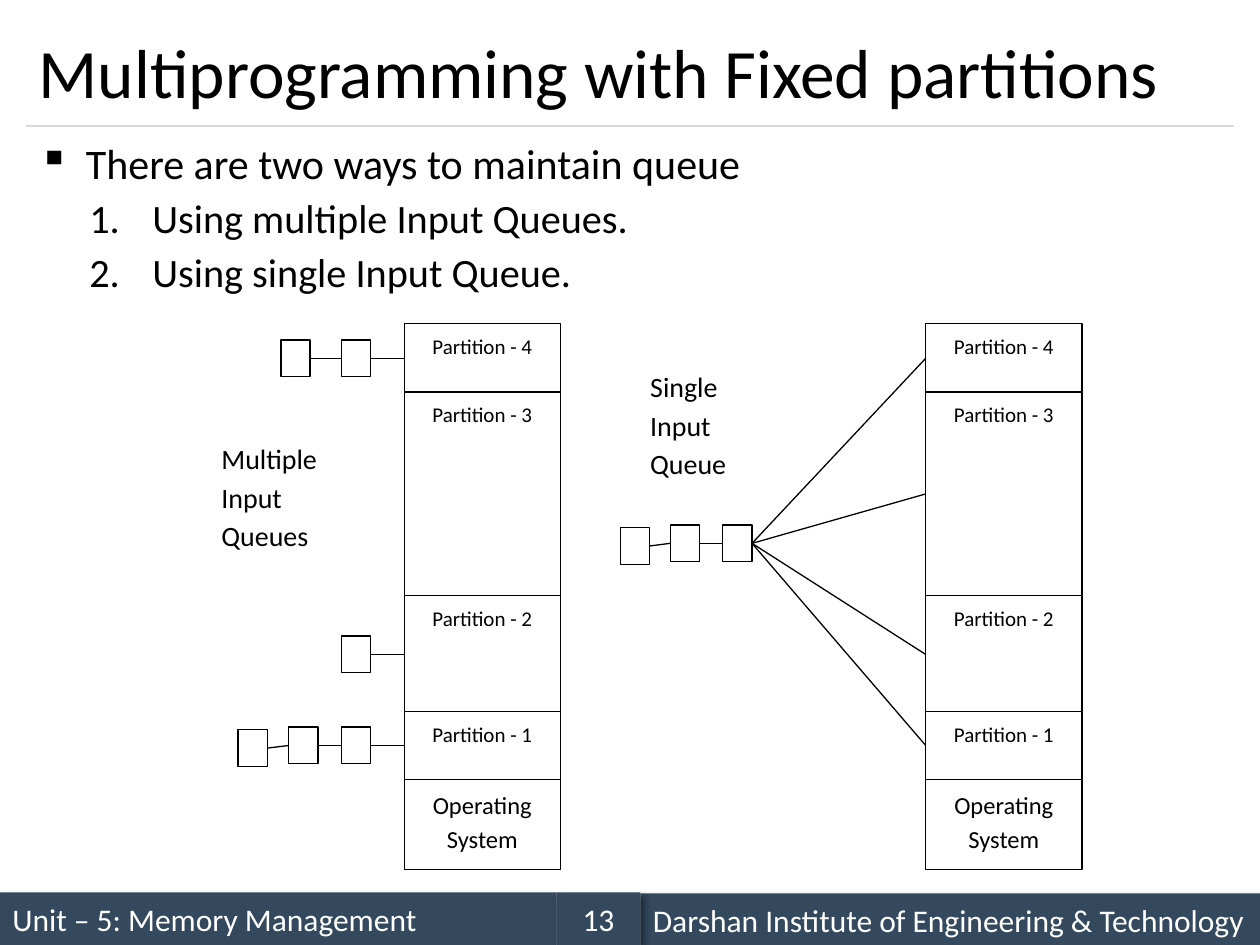
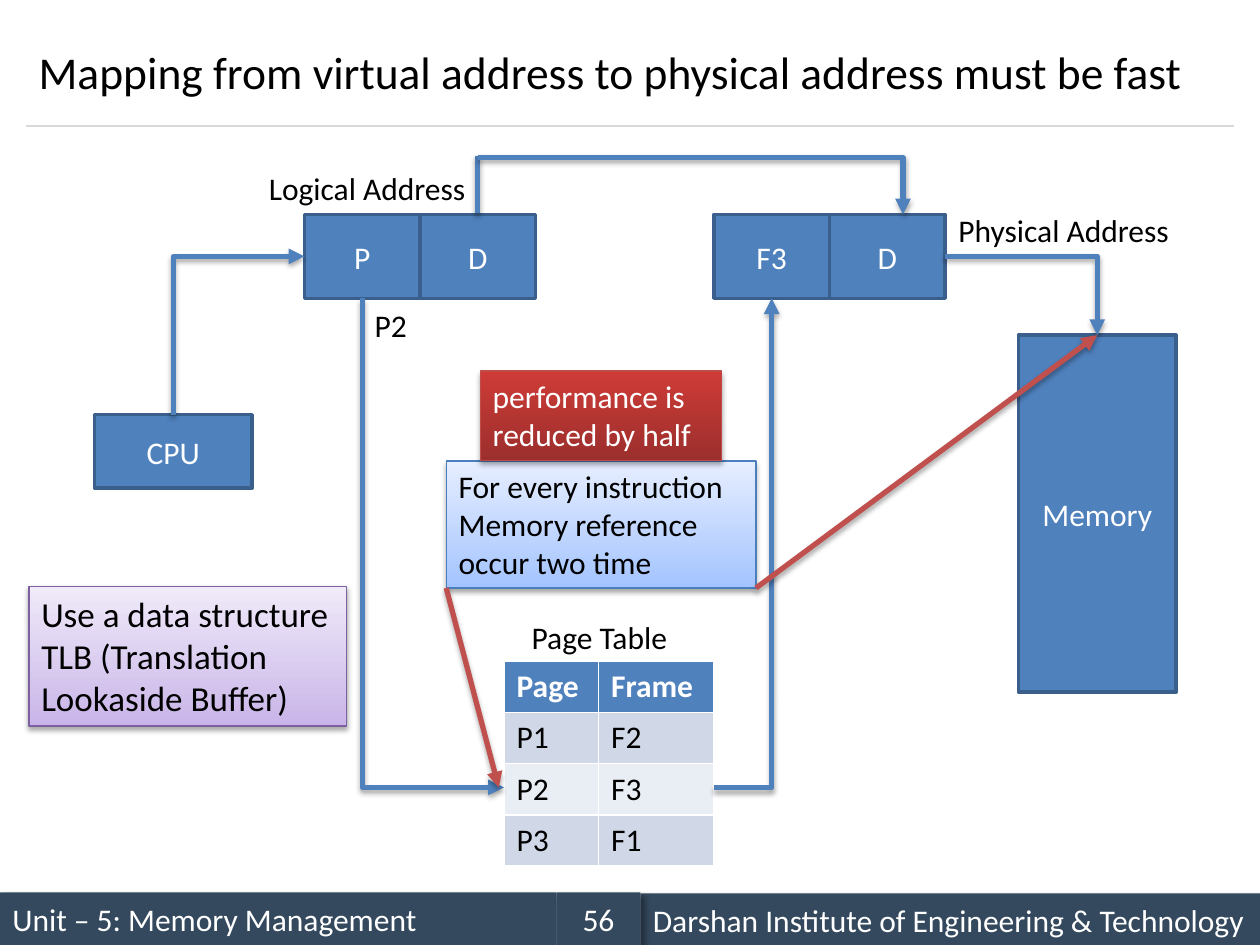
from lxml import etree
from pptx import Presentation
from pptx.dml.color import RGBColor
from pptx.enum.shapes import MSO_CONNECTOR, MSO_SHAPE
from pptx.enum.text import MSO_ANCHOR, PP_ALIGN
from pptx.oxml.ns import qn
from pptx.util import Pt

RECT = MSO_SHAPE.RECTANGLE
STRAIGHT, ELBOW = MSO_CONNECTOR.STRAIGHT, MSO_CONNECTOR.ELBOW
TOP, MIDDLE = MSO_ANCHOR.TOP, MSO_ANCHOR.MIDDLE
LEFT, CENTER, RIGHT, JUSTIFY = (
    PP_ALIGN.LEFT, PP_ALIGN.CENTER, PP_ALIGN.RIGHT, PP_ALIGN.JUSTIFY)

FONT = "Calibri"
BLACK = RGBColor(0x00, 0x00, 0x00)
WHITE = RGBColor(0xFF, 0xFF, 0xFF)
NAVY = RGBColor(0x34, 0x49, 0x5E)
GREY = RGBColor(0xD9, 0xD9, 0xD9)
BLUE = RGBColor(0x4F, 0x81, 0xBD)
EDGE = RGBColor(0x3A, 0x5F, 0x8C)
RED = RGBColor(0xC0, 0x50, 0x4D)
BAND = RGBColor(0xD0, 0xD8, 0xE8)
PALE = RGBColor(0xE9, 0xED, 0xF4)
SKY = [RGBColor(0xA4, 0xC4, 0xFF), RGBColor(0xE6, 0xEE, 0xFF)]
SKY_EDGE = RGBColor(0x4B, 0x7E, 0xBC)
BRICK = [RGBColor(0x9C, 0x2F, 0x2D), RGBColor(0xCE, 0x3B, 0x37)]
BRICK_EDGE = RGBColor(0xBF, 0x4C, 0x48)
LILAC = [RGBColor(0xC9, 0xB5, 0xE8), RGBColor(0xF0, 0xEA, 0xF9)]
LILAC_EDGE = RGBColor(0x7D, 0x60, 0xA0)

# Shadows: opacity in percent, blur, distance, angle
DEEP = (40, 4, 3, 45)
SOFT = (35, 3.1, 1.8, 90)
shades = []  # (effect list, shadow) pairs, filled in at the end


def add_box(slide, x, y, w, h, text="", size=18, color=BLACK, fill=None,
            line=None, weight=0.75, align=LEFT, anchor=TOP, shade=None):
    """Add a filled rectangle, or a text box when there is no fill."""
    area = Pt(x), Pt(y), Pt(w), Pt(h)
    if fill is None:
        box = slide.shapes.add_textbox(*area)
    else:
        box = slide.shapes.add_shape(RECT, *area)
        box.shadow.inherit = False
        if isinstance(fill, list):
            box.fill.gradient()
            box.fill.gradient_angle = 90
            for stop, tone, place in zip(box.fill.gradient_stops, fill, (0, 1)):
                stop.color.rgb = tone
                stop.position = place
        else:
            box.fill.solid()
            box.fill.fore_color.rgb = fill
        if line is None:
            box.line.fill.background()
        else:
            box.line.color.rgb = line
            box.line.width = Pt(weight)
    if shade:
        shades.append((box._element.spPr.find(qn("a:effectLst")), shade))
    if text:
        frame = box.text_frame
        frame.word_wrap = True
        frame.vertical_anchor = anchor
        frame.text = text
        for para in frame.paragraphs:
            para.alignment = align
            para.font.name = FONT
            para.font.size = Pt(size)
            para.font.color.rgb = color
    return box


def add_line(slide, start, end, color=BLACK, weight=0.75, arrow=None,
             bent=False, shade=None):
    """Add a line; a bent one runs across first, then up or down."""
    line = slide.shapes.add_connector(
        ELBOW if bent else STRAIGHT, *map(Pt, start + end))
    line.line.color.rgb = color
    line.line.width = Pt(weight)
    props = line._element.spPr
    if bent:
        guides = props.find(qn("a:prstGeom")).find(qn("a:avLst"))
        etree.SubElement(guides, qn("a:gd"), name="adj1", fmla="val 100000")
    if arrow:
        etree.SubElement(props.find(qn("a:ln")), qn("a:" + arrow),
                         type="triangle")
    effects = etree.SubElement(props, qn("a:effectLst"))
    if shade:
        shades.append((effects, shade))


deck = Presentation()
deck.slide_width, deck.slide_height = Pt(720), Pt(540)

# Shared title, rule and footer
slides = []
for title, size, number in [
    ("Multiprogramming with Fixed partitions", 39.6, "13"),
    ("Mapping from virtual address to physical address must be fast", 26, "56"),
]:
    slide = deck.slides.add_slide(deck.slide_layouts[6])
    slides.append(slide)
    for x, y, w, text, align in [
        (0, 510, 318, "Unit – 5: Memory Management", LEFT),
        (366, 510.5, 354, "Darshan Institute of Engineering & Technology", LEFT),
        (318, 510, 48, number, CENTER),
    ]:
        add_box(slide, x, y, w, 30, text, color=WHITE, fill=NAVY,
                align=align, anchor=MIDDLE, shade=DEEP)
    add_line(slide, (15, 72), (705, 72), GREY)
    add_box(slide, 15, 9, 690, 63, title, size, anchor=MIDDLE)
queues, mapping = slides

# Slide 1: list of the two ways
body = add_box(queues, 15, 78, 690, 140,
               "There are two ways to maintain queue\n"
               "Using multiple Input Queues.\nUsing single Input Queue.",
               23, align=JUSTIFY)
for i, para in enumerate(body.text_frame.paragraphs):
    props = para._p.get_or_add_pPr()
    props.set("marL", str(Pt(65 if i else 27)))
    props.set("indent", str(Pt(-36 if i else -27)))
    para.line_spacing = 0.9
    if i:
        para.space_before = Pt(6)
        mark = etree.Element(qn("a:buAutoNum"), type="arabicPeriod")
    else:
        para.font.size = Pt(24)
        mark = etree.Element(qn("a:buChar"), char="▪")
    props.find(qn("a:defRPr")).addprevious(mark)

# Memory columns
COLUMNS = (231, 529)
PARTS = [("Partition - 4", 39, 12), ("Partition - 3", 116.5, 12),
         ("Partition - 2", 66, 12), ("Partition - 1", 39, 12),
         ("Operating System", 51.5, 14)]
for x in COLUMNS:
    y = 185
    for name, high, size in PARTS:
        part = add_box(queues, x, y, 89.25, high, name, size, fill=WHITE,
                       line=BLACK, align=CENTER)
        part.text_frame.paragraphs[0].line_spacing = 1.15
        y += high

# Queues of jobs, each linked to the next and then to its partitions
JOB_W, JOB_H = 16.75, 21
MIDS = (204.75, 282.25, 374, 426)
for jobs, column, ends in [
    ([(160.5, 194.25), (195, 194.25)], COLUMNS[0], MIDS[:1]),
    ([(195, 363.5)], COLUMNS[0], MIDS[2:3]),
    ([(136, 417), (165, 415.5), (195, 415.5)], COLUMNS[0], MIDS[3:]),
    ([(354.5, 301.5), (383, 300), (413, 300)], COLUMNS[1], MIDS),
]:
    for x, y in jobs:
        add_box(queues, x, y, JOB_W, JOB_H, fill=WHITE, line=BLACK)
    exits = [(x + JOB_W, y + JOB_H / 2) for x, y in jobs]
    for out, (x, y) in zip(exits, jobs[1:]):
        add_line(queues, out, (x, y + JOB_H / 2))
    for end in ends:
        add_line(queues, exits[-1], (column, end))

# Queue captions
for x, y, w, text in [(119.5, 246, 75, "Multiple Input Queues"),
                      (364.5, 204.75, 78, "Single\vInput\vQueue")]:
    label = add_box(queues, x, y, w, 92, text, 16)
    label.text_frame.paragraphs[0].line_spacing = 1.15

# Slide 2: page table
ROWS = [("Page", "Frame"), ("P1", "F2"), ("P2", "F3"), ("P3", "F1")]
table = mapping.shapes.add_table(
    4, 2, Pt(288), Pt(378), Pt(120), Pt(116.8)).table
for column, width in zip(table.columns, (54, 66)):
    column.width = Pt(width)
for r, values in enumerate(ROWS):
    table.rows[r].height = Pt(29.2)
    for c, value in enumerate(values):
        cell = table.cell(r, c)
        cell.fill.solid()
        cell.fill.fore_color.rgb = (BLUE, BAND, PALE, BAND)[r]
        cell.text = value
        font = cell.text_frame.paragraphs[0].font
        font.name, font.size, font.bold = FONT, Pt(18), r == 0
        font.color.rgb = BLACK if r else WHITE

# Address parts, processor and memory
for x, y, w, h, text in [
    (54, 237, 90, 42, "CPU"), (582, 191.5, 90, 204, "Memory"),
    (174, 122.5, 66, 48, "P"), (240, 122.5, 66, 48, "D"),
    (408, 122.5, 66, 48, "F3"), (474, 122.5, 66, 48, "D"),
]:
    add_box(mapping, x, y, w, h, text, color=WHITE, fill=BLUE, line=EDGE,
            weight=2, align=CENTER, anchor=MIDDLE)

# Blue routes
add_line(mapping, (273, 122), (273, 89), BLUE, 3, shade=SOFT)
for start, end, arrow in [
    ((174, 146.5), (99, 237), "headEnd"),
    ((273, 90), (516, 122.5), "tailEnd"),
    ((288, 450), (207, 170.5), "headEnd"),
    ((540, 146.5), (627, 191.5), "tailEnd"),
    ((408, 450), (441, 170.5), "tailEnd"),
]:
    add_line(mapping, start, end, BLUE, 3, arrow, True, SOFT)

# Labels
for x, y, w, text, align in [
    (138, 93, 135, "Logical Address", RIGHT),
    (540, 117, 135, "Physical Address", RIGHT),
    (207, 171.5, 36, "P2", LEFT),
    (275, 349.5, 135, "Page Table", CENTER),
]:
    add_box(mapping, x, y, w, 29, text, align=align)

# Notes on cost and remedy, with red arrows to both memory references
add_box(mapping, 255, 263.5, 177, 72.5,
        "For every instruction\nMemory reference occur two time",
        fill=SKY, line=SKY_EDGE, shade=SOFT)
for start, end in [((255, 336), (285, 450)), ((432, 336), (627, 191.5))]:
    add_line(mapping, start, end, RED, 3, "tailEnd", shade=SOFT)
add_box(mapping, 274.5, 212, 138, 51, "performance is reduced by half",
        color=WHITE, fill=BRICK, line=BRICK_EDGE, shade=SOFT)
add_box(mapping, 16.5, 335, 181.5, 80,
        "Use a data structure\nTLB (Translation Lookaside Buffer)", 20,
        fill=LILAC, line=LILAC_EDGE, shade=SOFT)

# Shadows
for effects, (alpha, blur, dist, angle) in shades:
    shadow = etree.SubElement(
        effects, qn("a:outerShdw"), blurRad=str(Pt(blur)),
        dist=str(Pt(dist)), dir=str(angle * 60000), rotWithShape="0")
    tone = etree.SubElement(shadow, qn("a:srgbClr"), val="000000")
    etree.SubElement(tone, qn("a:alpha"), val=str(alpha * 1000))

deck.save("out.pptx")
